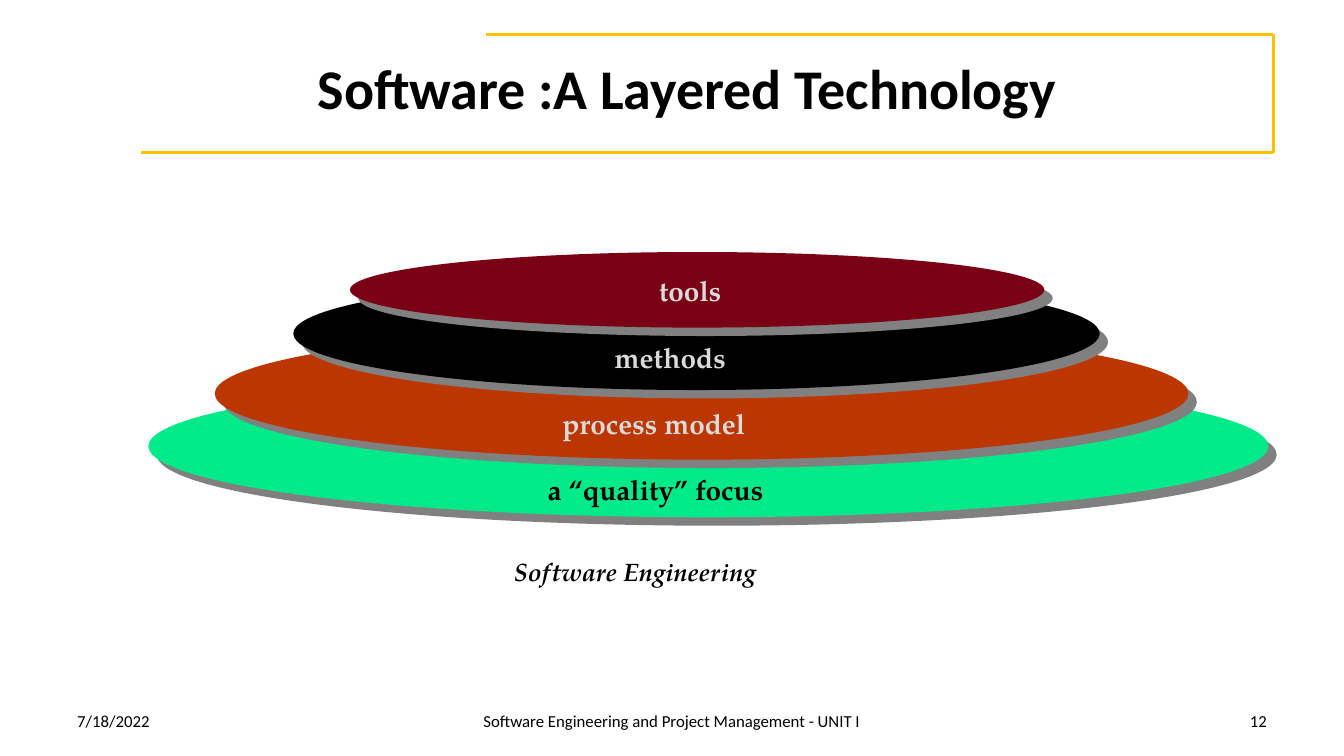
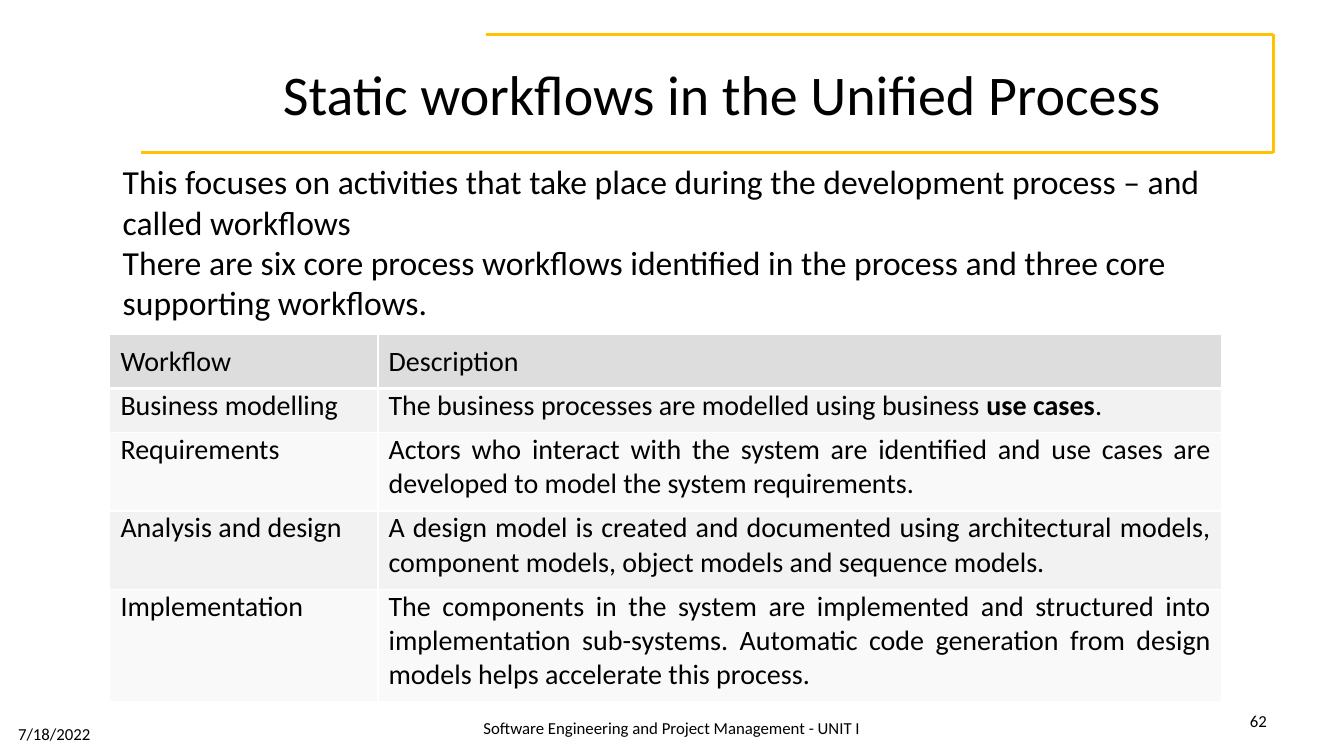
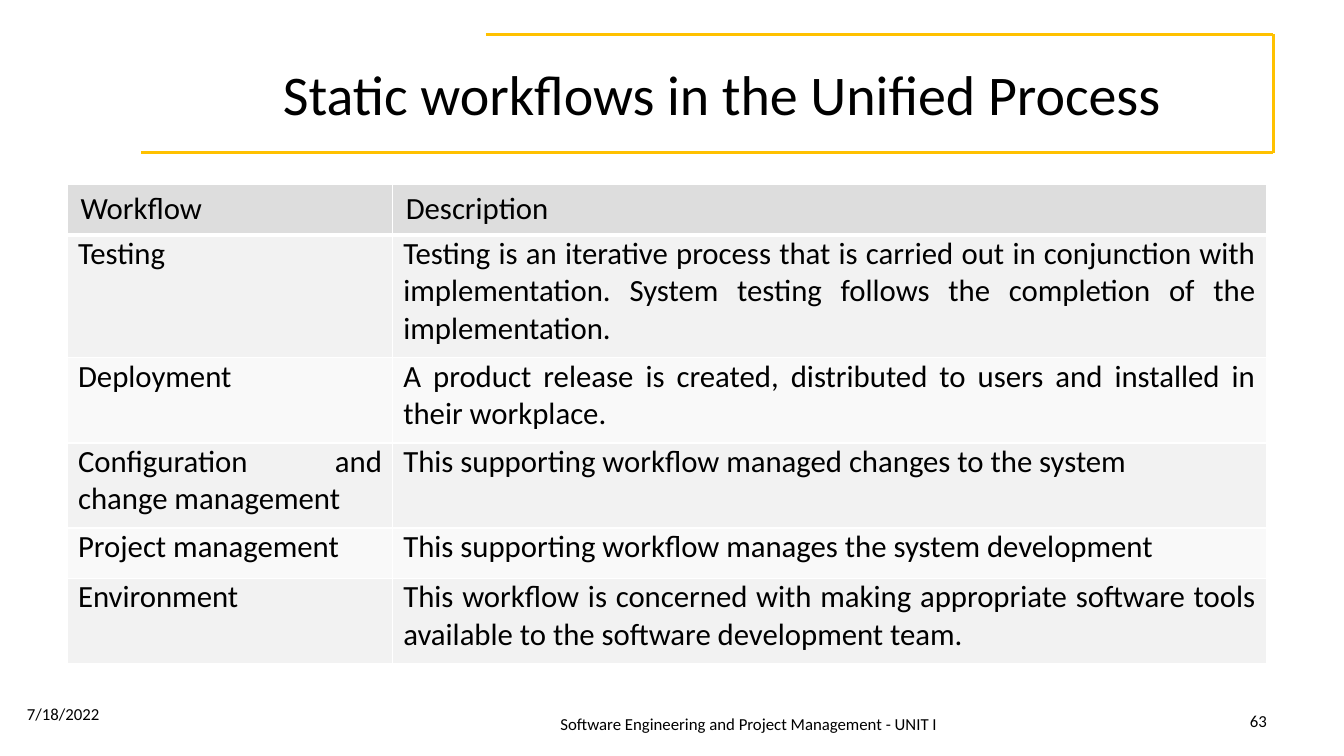
from lxml import etree
from pptx import Presentation
from pptx.dml.color import RGBColor
from pptx.enum.shapes import MSO_CONNECTOR, MSO_SHAPE
from pptx.enum.text import MSO_ANCHOR, PP_ALIGN
from pptx.oxml.ns import qn
from pptx.util import Pt

# Shared style
BLACK = RGBColor(0x00, 0x00, 0x00)
WHITE = RGBColor(0xFF, 0xFF, 0xFF)
GOLD = RGBColor(0xFF, 0xC1, 0x00)
SHADOW = RGBColor(0x80, 0x80, 0x80)
SILVER = RGBColor(0xDA, 0xDA, 0xDA)
GREEN = RGBColor(0x01, 0xEA, 0x89)
RUST = RGBColor(0xBC, 0x37, 0x00)
MAROON = RGBColor(0x79, 0x00, 0x15)
HEADER_GREY = RGBColor(0xDD, 0xDD, 0xDD)
BANDS = (RGBColor(0xF2, 0xF2, 0xF2), RGBColor(0xF9, 0xF9, 0xF9))

SANS = "Calibri"
SERIF = "TeX Gyre Pagella"

LEFT, CENTER, RIGHT = PP_ALIGN.LEFT, PP_ALIGN.CENTER, PP_ALIGN.RIGHT
JUSTIFY = PP_ALIGN.JUSTIFY
TOP, MIDDLE = MSO_ANCHOR.TOP, MSO_ANCHOR.MIDDLE
STRAIGHT = MSO_CONNECTOR.STRAIGHT
OVAL = MSO_SHAPE.OVAL

FRAME_POINTS = ((347, 24.5), (909.5, 24.5), (909.5, 109), (101, 109))
FOOTER_TEXT = "Software Engineering and Project Management - UNIT I"
WORKFLOW_HEADER = ("Workflow", "Description")


class Deck:
    def __init__(self):
        self.deck = Presentation()
        self.deck.slide_width, self.deck.slide_height = Pt(960), Pt(540)
        self.page = None

    def new_page(self):
        """Start a page with the gold title frame."""
        self.page = self.deck.slides.add_slide(self.deck.slide_layouts[6])
        for start, end in zip(FRAME_POINTS, FRAME_POINTS[1:]):
            line = self.page.shapes.add_connector(
                STRAIGHT, *(Pt(value) for value in start + end))
            line.line.color.rgb = GOLD
            line.line.width = Pt(2)
            etree.SubElement(line._element.spPr, qn("a:effectLst"))

    def fill_paragraph(self, para, text, size, color=BLACK, font=SANS,
                       align=LEFT, bold=False, italic=False):
        """Fill a paragraph; parts between ** marks are bold."""
        para.alignment = align
        for index, part in enumerate(text.split("**")):
            span = para.add_run()
            span.text = part
            span.font.name, span.font.size = font, Pt(size)
            span.font.bold = bold or index % 2 == 1
            span.font.italic = italic
            span.font.color.rgb = color

    def text(self, area, lines, size, anchor=TOP, spacing=None, **style):
        box = self.page.shapes.add_textbox(*(Pt(value) for value in area))
        frame = box.text_frame
        frame.word_wrap = True
        frame.vertical_anchor = anchor
        for index, line in enumerate(lines):
            para = frame.add_paragraph() if index else frame.paragraphs[0]
            para.line_spacing = spacing
            self.fill_paragraph(para, line, size, **style)
        return frame

    def title(self, text, area=(48, 21.6, 864, 90), indent=71, bold=False):
        frame = self.text(area, [text], 40, MIDDLE, align=CENTER, bold=bold)
        frame.margin_left = Pt(7.2 + indent)

    def footer(self, number, date_at=(48, 500.4), center_at=(328, 500.4)):
        parts = ((date_at, 224, "7/18/2022", LEFT),
                 (center_at, 304, FOOTER_TEXT, CENTER),
                 ((688, 500.4), 224, str(number), RIGHT))
        for position, width, text, align in parts:
            self.text((*position, width, 28.8), [text], 12, MIDDLE, align=align)

    def ellipse(self, area, color):
        shape = self.page.shapes.add_shape(OVAL, *(Pt(value) for value in area))
        shape.fill.solid()
        shape.fill.fore_color.rgb = color
        shape.line.fill.background()
        shape.shadow.inherit = False
        effects = shape._element.spPr.find(qn("a:effectLst"))
        shadow = etree.SubElement(
            effects, qn("a:outerShdw"), blurRad="0", dist=str(Pt(8.5)),
            dir="2700000", algn="ctr", rotWithShape="0")
        etree.SubElement(shadow, qn("a:srgbClr"), val=str(SHADOW))

    def borders(self, cell, widths):
        properties = cell._tc.get_or_add_tcPr()
        for index, (side, width) in enumerate(widths.items()):
            line = etree.Element(qn("a:ln" + side), w=str(Pt(width)))
            fill = etree.SubElement(line, qn("a:solidFill"))
            etree.SubElement(fill, qn("a:srgbClr"), val=str(WHITE))
            properties.insert(index, line)

    def table(self, position, widths, heights, rows, size, header_margins,
              header_align):
        area = (*position, sum(widths), sum(heights))
        grid = self.page.shapes.add_table(
            len(rows), len(widths), *(Pt(value) for value in area)).table
        grid.horz_banding = False
        for column, width in zip(grid.columns, widths):
            column.width = Pt(width)
        for index, (row, height, texts) in enumerate(
                zip(grid.rows, heights, rows)):
            row.height = Pt(height)
            if index == 0:
                color, align = HEADER_GREY, header_align
                side, top, bottom = header_margins
                edges = {"L": 1, "R": 1, "T": 1, "B": 3}
            else:
                color, align = BANDS[(index - 1) % 2], JUSTIFY
                side, top, bottom = 7.6, 0, 7.2
                edges = {"L": 1, "R": 1, "B": 1}
            for cell, text in zip(row.cells, texts):
                cell.fill.solid()
                cell.fill.fore_color.rgb = color
                cell.margin_left = cell.margin_right = Pt(side)
                cell.margin_top, cell.margin_bottom = Pt(top), Pt(bottom)
                self.borders(cell, edges)
                self.fill_paragraph(cell.text_frame.paragraphs[0], text, size,
                                    align=align)


def layers_page(deck):
    deck.new_page()
    deck.title("Software :A Layered Technology", (138.2, 36, 705, 52.6),
               indent=0, bold=True)
    deck.text((360, 396, 201, 26.6), ["Software Engineering"], 18,
              spacing=0.9, font=SERIF, bold=True, italic=True)

    # Layers from the bottom up: ellipse, fill, label, label place, label colour
    layers = (
        ((106, 268, 800, 101.5), GREEN, "a “quality” focus", 384, 176, BLACK),
        ((153.4, 234, 695.5, 94.3), RUST, "process model", 394.6, 157, SILVER),
        ((209.5, 198, 576, 80.6), BLACK, "methods", 432, 98.6, SILVER),
        ((250, 180, 496, 54), MAROON, "tools", 463.7, 62.6, SILVER),
    )
    for area, fill, *_ in layers:
        deck.ellipse(area, fill)
    for level, (_, _, label, left, width, color) in enumerate(layers):
        deck.text((left, 334 - 47.3 * level, width, 31), [label], 20,
                  color=color, font=SERIF, bold=True)
    deck.footer(12)


def core_workflows_page(deck):
    deck.new_page()
    deck.title("Static workflows in the Unified Process")
    rows = (
        WORKFLOW_HEADER,
        ("Business modelling",
         "The business processes are modelled using business **use cases**."),
        ("Requirements",
         "Actors who interact with the system are identified and use cases "
         "are developed to model the system requirements."),
        ("Analysis and design",
         "A design model is created and documented using architectural "
         "models, component models, object models and sequence models."),
        ("Implementation",
         "The components in the system are implemented and structured into "
         "implementation sub-systems. Automatic code generation from design "
         "models helps accelerate this process."),
    )
    deck.table((78.5, 239), (191.5, 602.6), (38.5, 31.6, 56, 56, 80.4), rows,
               20, (7.6, 7.2, 7.2), JUSTIFY)
    deck.footer(62, date_at=(5.8, 509.8), center_at=(328, 505.4))
    deck.text((80.6, 111.6, 831.6, 124), [
        "This focuses on activities that take place during the development "
        "process – and called workflows",
        "There are six core process workflows identified in the process and "
        "three core supporting workflows.",
    ], 24)


def supporting_workflows_page(deck):
    deck.new_page()
    deck.title("Static workflows in the Unified Process")
    rows = (
        WORKFLOW_HEADER,
        ("Testing",
         "Testing is an iterative process that is carried out in conjunction "
         "with implementation. System testing follows the completion of the "
         "implementation."),
        ("Deployment",
         "A product release is created, distributed to users and installed "
         "in their workplace."),
        ("Configuration and change management",
         "This supporting workflow managed changes to the system"),
        ("Project management",
         "This supporting workflow manages the system development"),
        ("Environment",
         "This workflow is concerned with making appropriate software tools "
         "available to the software development team."),
    )
    deck.table((48.2, 132), (232.3, 624), (36, 87.6, 60.8, 60.8, 36, 60.8),
               rows, 22, (9.4, 3.6, 3.6), LEFT)
    deck.footer(63, date_at=(12.2, 495.4), center_at=(383, 502.6))


def main():
    deck = Deck()
    layers_page(deck)
    core_workflows_page(deck)
    supporting_workflows_page(deck)
    deck.deck.save("out.pptx")


if __name__ == "__main__":
    main()
